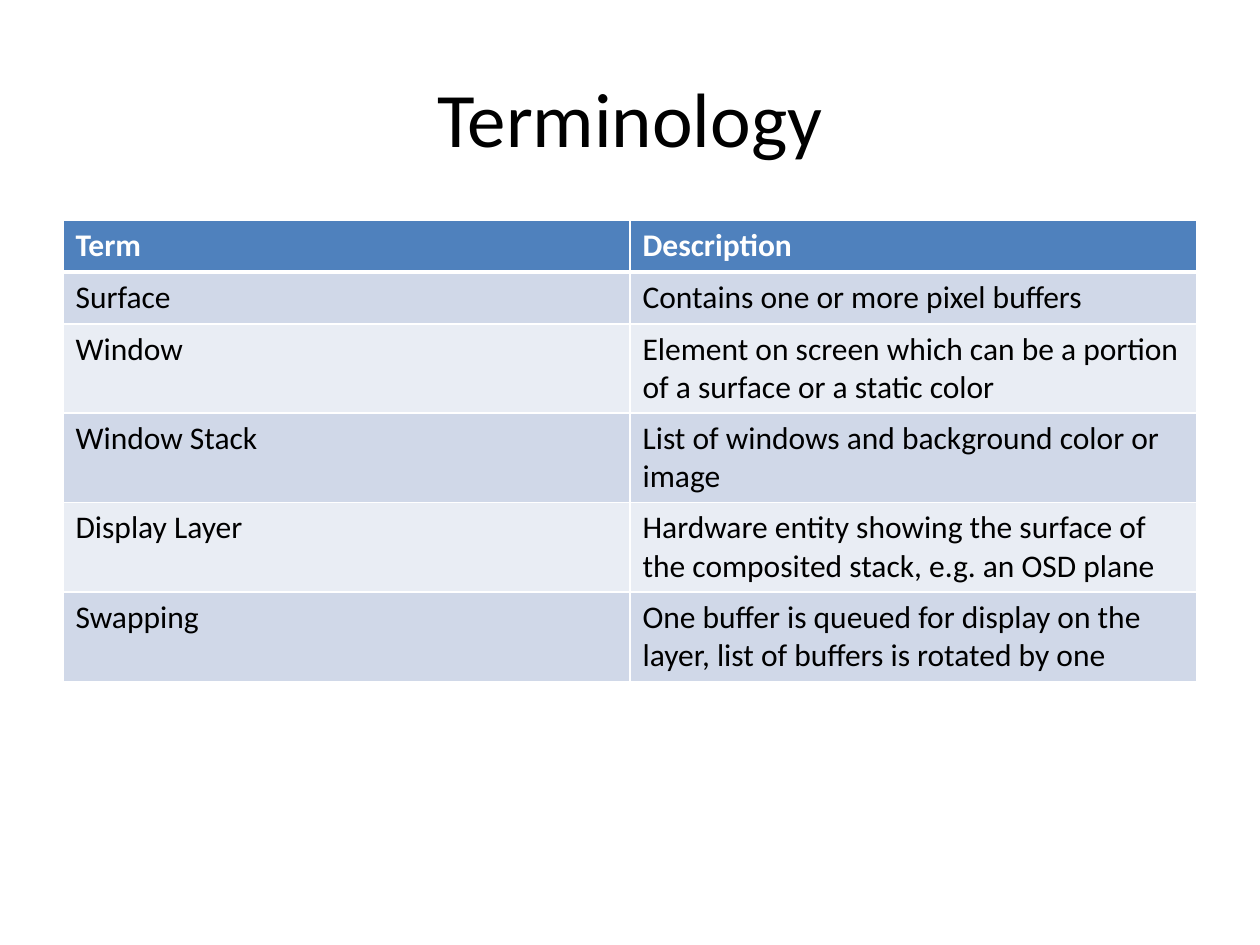
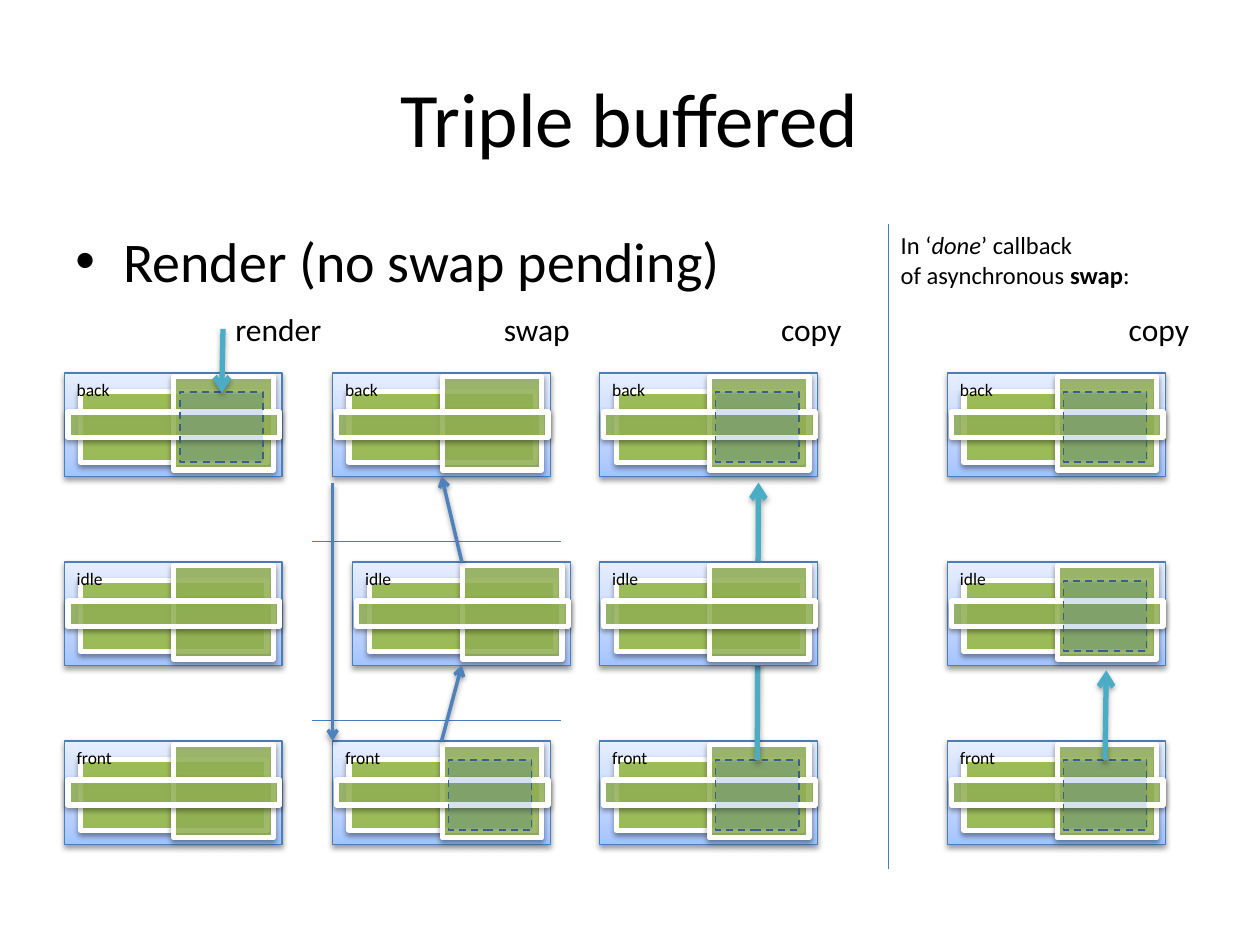
import copy

import lxml.etree
import pptx
import pptx.dml.color
import pptx.enum.dml
import pptx.enum.shapes
import pptx.enum.text
import pptx.oxml.ns
import pptx.util

PX = 9144
FONT = "Calibri"
COLORS = {
    "text": "000000",
    "white": "FFFFFF",
    "header": "4F81BD",
    "band_dark": "D0D8E8",
    "band_light": "E9EDF4",
    "panel_line": "4B7EBC",
    "window": "9BBB59",
    "dirty": "4F81BD",
    "dirty_line": "3A5F8C",
    "swap": "4F81BD",
    "copy": "4BACC6",
    "shadow": "000000",
}
PANEL_STOPS = [(0, "A4C4FF"), (0.35, "BFD4FF"), (1, "E6EEFF")]

TERMS = [
    ("Term", "Description"),
    ("Surface", "Contains one or more pixel buffers"),
    ("Window", "Element on screen which can be a portion of a surface or a static color"),
    ("Window Stack", "List of windows and background color or image"),
    ("Display Layer", "Hardware entity showing the surface of the composited stack, e.g. an OSD plane"),
    ("Swapping", "One buffer is queued for display on the layer, list of buffers is rotated by one"),
]
TERM_ROW_HEIGHTS = [41, 41, 71, 71, 71, 71]

ROWS = {"back": 296, "front": 588, "idle": 446}
STEPS = [
    {"name": "render", "x": 51, "label": (177, 89), "dirty": ["back"]},
    {"name": "swap", "x": 264, "label": (390, 73), "dirty": ["front"], "idle_shift": 16},
    {"name": "copy", "x": 476, "label": (610, 69), "dirty": ["back", "front"]},
    {"name": "copy", "x": 752, "label": (886, 69), "dirty": ["back", "idle", "front"]},
]


def px(*lengths):
    return [pptx.util.Emu(length * PX) for length in lengths]


def rgb(name):
    return pptx.dml.color.RGBColor.from_string(COLORS[name])


def add_xml(parent, tag, **attributes):
    return lxml.etree.SubElement(parent, pptx.oxml.ns.qn(tag), attributes)


def set_effects(item, shadow_alpha=0, distance=20000):
    effects = add_xml(item._element.spPr, "a:effectLst")
    if shadow_alpha:
        shadow = add_xml(effects, "a:outerShdw", blurRad="40000", dist=str(distance),
                         dir="5400000", rotWithShape="0")
        color = add_xml(shadow, "a:srgbClr", val=COLORS["shadow"])
        add_xml(color, "a:alpha", val=str(shadow_alpha * 1000))


def set_font(font, size, color="text", bold=None):
    font.name = FONT
    font.size = pptx.util.Pt(size)
    font.color.rgb = rgb(color)
    font.bold = bold


def add_text(shapes, place, text, size, wrap=True):
    box = shapes.add_textbox(*px(*place))
    frame = box.text_frame
    frame.word_wrap = wrap
    if not wrap:
        frame.auto_size = pptx.enum.text.MSO_AUTO_SIZE.SHAPE_TO_FIT_TEXT
    frame.text = text
    for para in frame.paragraphs:
        set_font(para.font, size)
    return frame


def add_title(page, text):
    frame = add_text(page.shapes, (50, 30, 900, 125), text, 44)
    frame.vertical_anchor = pptx.enum.text.MSO_ANCHOR.MIDDLE
    frame.paragraphs[0].alignment = pptx.enum.text.PP_ALIGN.CENTER


def add_bullet(page, place, text):
    para = add_text(page.shapes, place, text, 32).paragraphs[0]
    properties = para._p.get_or_add_pPr()
    properties.set("marL", str(38 * PX))
    properties.set("indent", str(-38 * PX))
    bullet_font = lxml.etree.Element(pptx.oxml.ns.qn("a:buFont"), typeface="Arial")
    bullet = lxml.etree.Element(pptx.oxml.ns.qn("a:buChar"), char="•")
    properties.insert(0, bullet_font)
    properties.insert(1, bullet)


def add_rectangle(shapes, place, line, width):
    box = shapes.add_shape(pptx.enum.shapes.MSO_SHAPE.RECTANGLE, *px(*place))
    box.line.color.rgb = rgb(line)
    box.line.width = pptx.util.Pt(width)
    return box


def set_fill(box, color, alpha=100):
    box.fill.solid()
    box.fill.fore_color.rgb = rgb(color)
    if alpha < 100:
        fill_color = box._element.spPr.find(pptx.oxml.ns.qn("a:solidFill"))[0]
        add_xml(fill_color, "a:alpha", val=str(alpha * 1000))


def add_panel(shapes, place):
    panel = add_rectangle(shapes, place, "panel_line", 0.75)
    panel.fill.gradient()
    panel.fill.gradient_angle = 90
    stop_list = next(panel._element.spPr.iter(pptx.oxml.ns.qn("a:gsLst")))
    stop_list.append(copy.deepcopy(stop_list[0]))
    for stop, (position, color) in zip(panel.fill.gradient_stops, PANEL_STOPS):
        stop.position = position
        stop.color.rgb = pptx.dml.color.RGBColor.from_string(color)
    set_effects(panel, 38)
    return panel


def add_window(shapes, place, alpha):
    window = add_rectangle(shapes, place, "white", 3)
    set_fill(window, "window", alpha)
    set_effects(window, 38)


def add_dirty_area(shapes, place):
    area = add_rectangle(shapes, place, "dirty_line", 1)
    set_fill(area, "dirty", 23)
    area.line.dash_style = pptx.enum.dml.MSO_LINE.DASH
    set_effects(area)


def add_buffer(page, x, y, name, dirty):
    shapes = page.shapes.add_group_shape().shapes
    panel = add_panel(shapes, (x, y, 173, 82))
    add_window(shapes, (x + 13, y + 15, 148, 56), 100)
    add_window(shapes, (x + 87, y + 3, 79, 74), 80)
    add_window(shapes, (x + 3, y + 31, 168, 20), 80)
    if dirty:
        add_dirty_area(shapes, (x + 92, y + 15, 66, 56))
    add_text(shapes, (x, y, 79, 27), name, 10)
    return panel


def add_line(page, start, end, color="panel_line", width=0.75):
    line = page.shapes.add_connector(pptx.enum.shapes.MSO_CONNECTOR.STRAIGHT, *px(*start, *end))
    line.line.color.rgb = rgb(color)
    line.line.width = pptx.util.Pt(width)
    return line


def add_arrow(page, start, end, color, width, shadow_alpha, distance):
    arrow = add_line(page, start, end, color, width)
    add_xml(arrow.line._get_or_add_ln(), "a:tailEnd", type="arrow")
    set_effects(arrow, shadow_alpha, distance)
    return arrow


def add_copy_arrow(page, start, end):
    add_arrow(page, start, end, "copy", 3, 35, 23000)


def add_swap_arrow(page, start, end):
    return add_arrow(page, start, end, "swap", 2, 38, 20000)


def join_panels(page, lower, upper):
    arrow = add_swap_arrow(page, (0, 0), (10, 10))
    arrow.begin_connect(lower, 0)
    arrow.end_connect(upper, 2)


def add_callback_note(page):
    frame = add_text(page.shapes, (705, 178, 202, 57), "In ‘", 14, wrap=False)
    first = frame.paragraphs[0]
    span = first.add_run()
    span.text = "done"
    span.font.italic = True
    first.add_run().text = "’ callback"
    second = frame.add_paragraph()
    set_font(second.font, 14)
    second.add_run().text = "of asynchronous "
    span = second.add_run()
    span.text = "swap"
    span.font.bold = True
    second.add_run().text = ":"


def set_bottom_border(cell, color, width):
    border = lxml.etree.Element(pptx.oxml.ns.qn("a:lnB"), w=str(pptx.util.Pt(width)))
    add_xml(add_xml(border, "a:solidFill"), "a:srgbClr", val=COLORS[color])
    cell._tc.get_or_add_tcPr().insert(0, border)


def add_term_table(page):
    table = page.shapes.add_table(len(TERMS), 2, *px(50, 175, 900, sum(TERM_ROW_HEIGHTS))).table
    for index, (terms, height) in enumerate(zip(TERMS, TERM_ROW_HEIGHTS)):
        table.rows[index].height = px(height)[0]
        header = index == 0
        fill = "header" if header else "band_dark" if index % 2 else "band_light"
        for cell, text in zip(table.rows[index].cells, terms):
            cell.text = text
            cell.fill.solid()
            cell.fill.fore_color.rgb = rgb(fill)
            set_font(cell.text_frame.paragraphs[0].font, 18, "white" if header else "text", header)
            if header:
                set_bottom_border(cell, "white", 3)


def build_terminology(page):
    add_title(page, "Terminology")
    add_term_table(page)


def build_triple_buffered(page):
    add_title(page, "Triple buffered")
    add_bullet(page, (50, 175, 640, 65), "Render (no swap pending)")
    panels = {}
    for row, y in ROWS.items():
        if row == "idle":
            add_copy_arrow(page, (601, 603), (602, 383))
        for column, step in enumerate(STEPS):
            x = step["x"] + (step.get("idle_shift", 0) if row == "idle" else 0)
            panels[column, row] = add_buffer(page, x, y, row, row in step["dirty"])
    for step in STEPS:
        label_x, label_width = step["label"]
        add_text(page.shapes, (label_x, 241, label_width, 40), step["name"], 18, wrap=False)
    add_copy_arrow(page, (177, 261), (176, 312))
    add_copy_arrow(page, (877, 603), (878, 532))
    for y in (430, 572):
        set_effects(add_line(page, (248, y), (445, y)))
    join_panels(page, panels[1, "idle"], panels[1, "back"])
    add_swap_arrow(page, (264, 383), (264, 588))
    join_panels(page, panels[1, "front"], panels[1, "idle"])
    set_effects(add_line(page, (705, 178), (705, 690)))
    add_callback_note(page)


def main():
    deck = pptx.Presentation()
    deck.slide_width, deck.slide_height = px(1000, 750)
    for build in (build_terminology, build_triple_buffered):
        build(deck.slides.add_slide(deck.slide_layouts[6]))
    deck.save("out.pptx")


if __name__ == "__main__":
    main()
